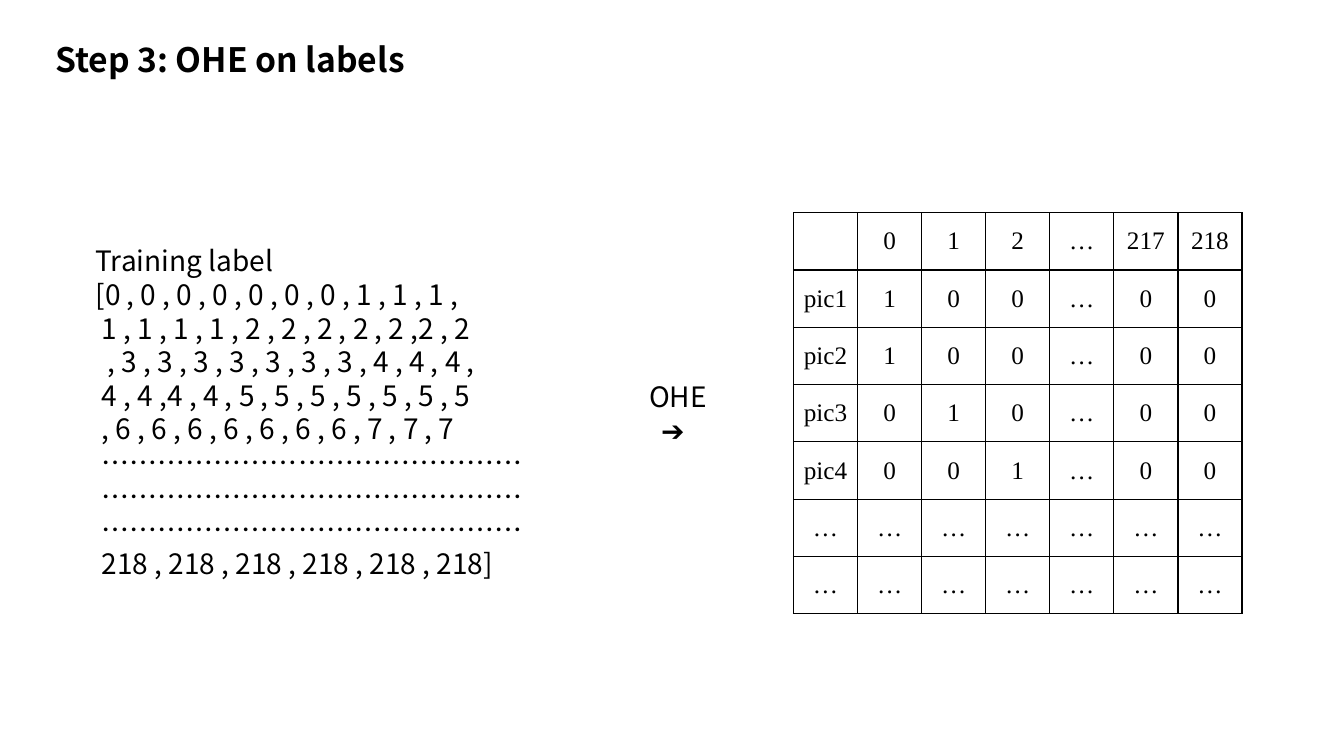
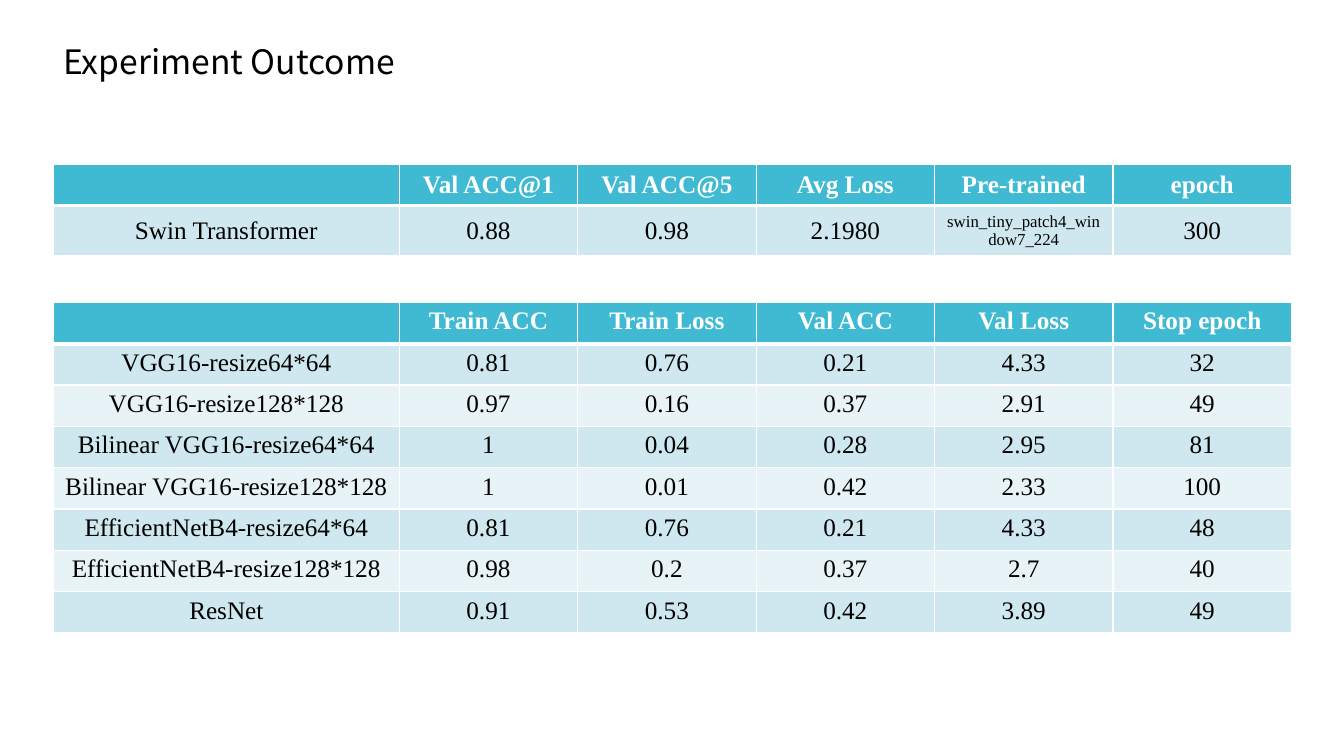
from lxml import etree
from pptx import Presentation
from pptx import util as u
from pptx.dml.color import RGBColor
from pptx.enum import text
from pptx.oxml.ns import qn

COLORS = {
    "ink": "000000",
    "white": "FFFFFF",
    "header": "40BAD2",
    "band": "CFE7EE",
    "band_light": "E8F3F7",
}
SANS = "Noto Sans CJK JP"
SERIF = "Times New Roman"
SPACE = 0.06
LINE_SPACING = 1.2


class Deck:
    """Holds the presentation, its style and the current page."""

    def __init__(self):
        self.deck = Presentation()
        self.deck.slide_width = u.Inches(13.33)
        self.deck.slide_height = u.Inches(7.5)
        self.page = None

    def add_page(self):
        self.page = self.deck.slides.add_slide(self.deck.slide_layouts[6])

    def add_span(self, para, words, font=SANS, size=20, color="ink", bold=False):
        span = para.add_run()
        span.text = words
        span.font.name = font
        span.font.size = u.Pt(size)
        span.font.bold = bold
        span.font.color.rgb = RGBColor.from_string(COLORS[color])
        east_asian = etree.SubElement(span.font._element, qn("a:ea"))
        east_asian.set("typeface", font)

    def text_box(self, lines, left, top, width, height, size=20, bold=False):
        """Add a box of (indent in spaces, words) lines."""
        box = self.page.shapes.add_textbox(
            u.Inches(left), u.Inches(top), u.Inches(width), u.Inches(height))
        frame = box.text_frame
        frame.word_wrap = True
        for index, (indent, words) in enumerate(lines):
            para = frame.paragraphs[0] if index == 0 else frame.add_paragraph()
            para.line_spacing = u.Pt(size * LINE_SPACING)
            if indent:
                margin = u.Inches(indent * SPACE)
                para._p.get_or_add_pPr().set("marL", str(margin))
            self.add_span(para, words, size=size, bold=bold)

    def title(self, words, left, top, width, bold=False):
        self.text_box([(0, words)], left, top, width, 0.5, size=24, bold=bold)

    def border(self, cell, color, **widths):
        """Draw cell edges, given as points by side: L, R, T, B."""
        properties = cell._tc.get_or_add_tcPr()
        for position, side in enumerate("LRTB"):
            line = etree.Element(qn(f"a:ln{side}"), w=str(u.Pt(widths.get(side, 1))))
            fill = etree.SubElement(line, qn("a:solidFill"))
            etree.SubElement(fill, qn("a:srgbClr"), val=COLORS[color])
            properties.insert(position, line)

    def table(self, rows, left, top, widths, heights, banded=True,
              anchor=text.MSO_ANCHOR.MIDDLE, sizes=None, side_margin=0.1):
        """Add a table; sizes maps a cell's words to a special text size."""
        frame = self.page.shapes.add_table(
            len(rows), len(widths), u.Inches(left), u.Inches(top),
            u.Inches(sum(widths)), u.Inches(sum(heights)))
        grid = frame.table
        grid.first_row = grid.horz_banding = banded
        for column, width in zip(grid.columns, widths):
            column.width = u.Inches(width)
        for row, height in zip(grid.rows, heights):
            row.height = u.Inches(height)
        for r, words_in_row in enumerate(rows):
            is_header = banded and r == 0
            for c, words in enumerate(words_in_row):
                cell = grid.cell(r, c)
                cell.vertical_anchor = anchor
                cell.margin_left = cell.margin_right = u.Inches(side_margin)
                if banded:
                    fill = "header" if is_header else ("band_light", "band")[r % 2]
                    cell.fill.solid()
                    cell.fill.fore_color.rgb = RGBColor.from_string(COLORS[fill])
                    self.border(cell, "white", T=3 if r == 1 else 1,
                                B=3 if is_header else 1)
                else:
                    cell.fill.background()
                    self.border(cell, "ink")
                para = cell.text_frame.paragraphs[0]
                para.alignment = text.PP_ALIGN.CENTER
                if words:
                    self.add_span(para, words, font=SERIF,
                                  size=(sizes or {}).get(words, 18),
                                  color="white" if is_header else "ink",
                                  bold=is_header)


def build_labels(deck):
    deck.add_page()
    deck.title("Step 3: OHE on labels", 0.45, 0.34, 12.57, bold=True)
    dots = (1, "…" * 15)
    deck.text_box([
        (0, "Training label"),
        (0, "[0 , 0 , 0 , 0 , 0 , 0 , 0 , 1 , 1 , 1 ,"),
        (1, "1 , 1 , 1 , 1 , 2 , 2 , 2 , 2 , 2 ,2 , 2"),
        (2, ", 3 , 3 , 3 , 3 , 3 , 3 , 3 , 4 , 4 , 4 ,"),
        (1, "4 , 4 ,4 , 4 , 5 , 5 , 5 , 5 , 5 , 5 , 5"),
        (1, ", 6 , 6 , 6 , 6 , 6 , 6 , 6 , 7 , 7 , 7"),
        dots, dots, dots,
        (1, "218 , 218 , 218 , 218 , 218 , 218]"),
    ], 0.85, 2.37, 5.09, 3.47)
    deck.text_box([(0, "OHE"), (2, "➔")], 6.34, 3.72, 1.13, 0.77)

    classes = ["0", "1", "2", "…", "217", "218"]
    rows = [[""] + classes]
    for number, label in enumerate(["0", "0", "1", "2"], start=1):
        encoded = [name if name == "…" else str(int(name == label))
                   for name in classes]
        rows.append([f"pic{number}"] + encoded)
    rows += [["…"] * 7] * 2
    deck.table(rows, 7.87, 2.11, [4.45 / 7] * 7, [3.98 / 7] * 7,
               banded=False, side_margin=0.05)


def build_outcome(deck):
    deck.add_page()
    widths = [3.43] + [1.77] * 5
    deck.table([
        ["", "Train ACC", "Train Loss", "Val ACC", "Val Loss", "Stop epoch"],
        ["VGG16-resize64*64", "0.81", "0.76", "0.21", "4.33", "32"],
        ["VGG16-resize128*128", "0.97", "0.16", "0.37", "2.91", "49"],
        ["Bilinear VGG16-resize64*64", "1", "0.04", "0.28", "2.95", "81"],
        ["Bilinear VGG16-resize128*128", "1", "0.01", "0.42", "2.33", "100"],
        ["EfficientNetB4-resize64*64", "0.81", "0.76", "0.21", "4.33", "48"],
        ["EfficientNetB4-resize128*128", "0.98", "0.2", "0.37", "2.7", "40"],
        ["ResNet", "0.91", "0.53", "0.42", "3.89", "49"],
    ], 0.53, 3, widths, [0.41] * 8, anchor=text.MSO_ANCHOR.TOP)
    deck.title("Experiment Outcome", 0.53, 0.36, 12.27)
    model = "swin_tiny_patch4_window7_224"
    deck.table([
        ["", "Val ACC@1", "Val ACC@5", "Avg Loss", "Pre-trained", "epoch"],
        ["Swin Transformer", "0.88", "0.98", "2.1980", model, "300"],
    ], 0.53, 1.63, widths, [0.41, 0.5], sizes={model: 12})


def main():
    deck = Deck()
    build_labels(deck)
    build_outcome(deck)
    deck.deck.save("out.pptx")


if __name__ == "__main__":
    main()
